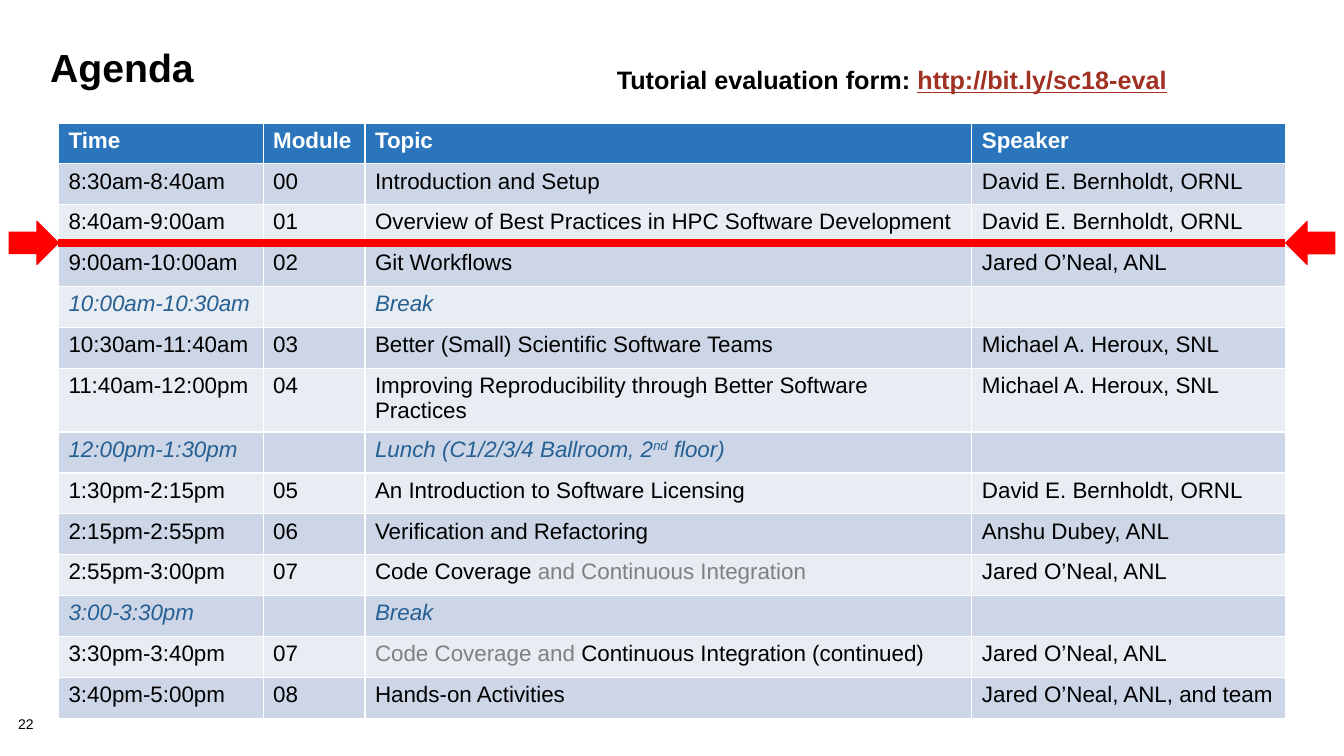
from lxml import etree
from pptx import Presentation
from pptx.dml.color import RGBColor
from pptx.enum.shapes import MSO_CONNECTOR, MSO_SHAPE
from pptx.enum.text import PP_ALIGN
from pptx.oxml.ns import qn
from pptx.util import Inches, Pt

LINE, ARROW = MSO_CONNECTOR.STRAIGHT, MSO_SHAPE.RIGHT_ARROW
CENTER = PP_ALIGN.CENTER

COLORS = {
    "black": "000000", "white": "FFFFFF", "head": "2A75BB", "dark": "CDD6E7",
    "light": "E8ECF3", "break": "266093", "gray": "808080", "link": "A03123",
    "red": "FF0000",
}
HEAD = ("Time", "Module", "Topic", "Speaker")
DAVID, JARED = "David E. Bernholdt, ORNL", "Jared O’Neal, ANL"
MIKE = "Michael A. Heroux, SNL"
# A topic in several runs is a list of (text, style) pairs.
# Rows without a module number are breaks.
AGENDA = [
    ("8:30am-8:40am", "00", "Introduction and Setup", DAVID),
    ("8:40am-9:00am", "01",
     "Overview of Best Practices in HPC Software Development", DAVID),
    ("9:00am-10:00am", "02", "Git Workflows", JARED),
    ("10:00am-10:30am", "", "Break", ""),
    ("10:30am-11:40am", "03", "Better (Small) Scientific Software Teams", MIKE),
    ("11:40am-12:00pm", "04",
     "Improving Reproducibility through Better Software Practices", MIKE),
    ("12:00pm-1:30pm", "",
     [("Lunch (C1/2/3/4 Ballroom, 2", ""), ("nd", "super"), (" floor)", "")], ""),
    ("1:30pm-2:15pm", "05", "An Introduction to Software Licensing", DAVID),
    ("2:15pm-2:55pm", "06", "Verification and Refactoring", "Anshu Dubey, ANL"),
    ("2:55pm-3:00pm", "07",
     [("Code Coverage ", ""), ("and Continuous Integration", "gray")], JARED),
    ("3:00-3:30pm", "", "Break", ""),
    ("3:30pm-3:40pm", "07",
     [("Code Coverage and ", "gray"),
      ("Continuous Integration (continued)", "")], JARED),
    ("3:40pm-5:00pm", "08", "Hands-on Activities", "Jared O’Neal, ANL, and team"),
]
FORM = [("Tutorial evaluation form: ", ""), ("http://bit.ly/sc18-eval", "link")]

COLS = (2.03, 1.01, 6.02, 3.11)
LEFT, TOP, HEIGHT = 0.58, 1.22, 5.68
RIGHT = LEFT + sum(COLS)
MARK_Y, ARROW_W, ARROW_H = 2.41, 0.49, 0.43


def rgb(name):
    return RGBColor.from_string(COLORS[name])


def write(frame, text, size, color="black", bold=False, italic=False):
    """Fill the first paragraph with a string or (text, style) pairs."""
    para = frame.paragraphs[0]
    font = para.font
    font.name, font.size = "Arial", Pt(size)
    font.bold, font.italic = bold, italic
    font.color.rgb = rgb(color)
    pairs = [(text, "")] if isinstance(text, str) else text
    for words, style in pairs:
        if not words:
            continue
        run = para.add_run()
        run.text = words
        if style in COLORS:
            run.font.color.rgb = rgb(style)
        if style == "link":
            run.font.underline = True
        if style == "super":
            run.font._element.set("baseline", "30000")
    return para


def add_text(slide, box, text, size, bold=False, wrap=True):
    frame = slide.shapes.add_textbox(*map(Inches, box)).text_frame
    frame.word_wrap = wrap
    return frame, write(frame, text, size, bold=bold)


def add_agenda(slide):
    rows = [HEAD] + AGENDA
    table = slide.shapes.add_table(
        len(rows), len(COLS), Inches(LEFT), Inches(TOP),
        Inches(sum(COLS)), Inches(HEIGHT)).table
    for col, width in zip(table.columns, COLS):
        col.width = Inches(width)
    for r, row in enumerate(rows):
        head, pause = r == 0, not row[1]
        fill = "head" if head else "dark" if r % 2 else "light"
        color = "white" if head else "break" if pause else "black"
        for c, text in enumerate(row):
            cell = table.cell(r, c)
            cell.fill.solid()
            cell.fill.fore_color.rgb = rgb(fill)
            write(cell.text_frame, text, 16, color, head, pause)


def add_marker(slide):
    """Red line across the table with an arrow pointing at each end."""
    line = slide.shapes.add_connector(
        LINE, Inches(LEFT), Inches(MARK_Y), Inches(RIGHT), Inches(MARK_Y))
    line.line.color.rgb = rgb("red")
    line.line.width = Pt(6)
    etree.SubElement(line._element.spPr, qn("a:effectLst"))
    for left, turn in ((LEFT - ARROW_W, 0), (RIGHT, 180)):
        arrow = slide.shapes.add_shape(
            ARROW, Inches(left), Inches(MARK_Y - ARROW_H / 2),
            Inches(ARROW_W), Inches(ARROW_H))
        arrow.rotation = turn
        arrow.shadow.inherit = False
        arrow.fill.solid()
        arrow.fill.fore_color.rgb = rgb("red")
        arrow.line.color.rgb = rgb("red")
        arrow.line.width = Pt(0.75)


def main():
    deck = Presentation()
    deck.slide_width, deck.slide_height = Inches(13.33), Inches(7.5)
    slide = deck.slides.add_slide(deck.slide_layouts[6])

    frame, para = add_text(slide, (0.18, 7.12, 0.56, 0.16), "22", 10)
    frame.margin_left = frame.margin_right = 0
    frame.margin_top = frame.margin_bottom = 0
    para.line_spacing = 0.9

    _, para = add_text(slide, (0.4, 0.45, 12.44, 1), "Agenda", 28, True)
    para.line_spacing = 0.85

    add_agenda(slide)

    _, para = add_text(slide, (5.99, 0.44, 5.71, 0.5), FORM, 18, True, False)
    para.alignment = CENTER
    para.line_spacing = 1.5

    add_marker(slide)
    deck.save("out.pptx")


if __name__ == "__main__":
    main()
